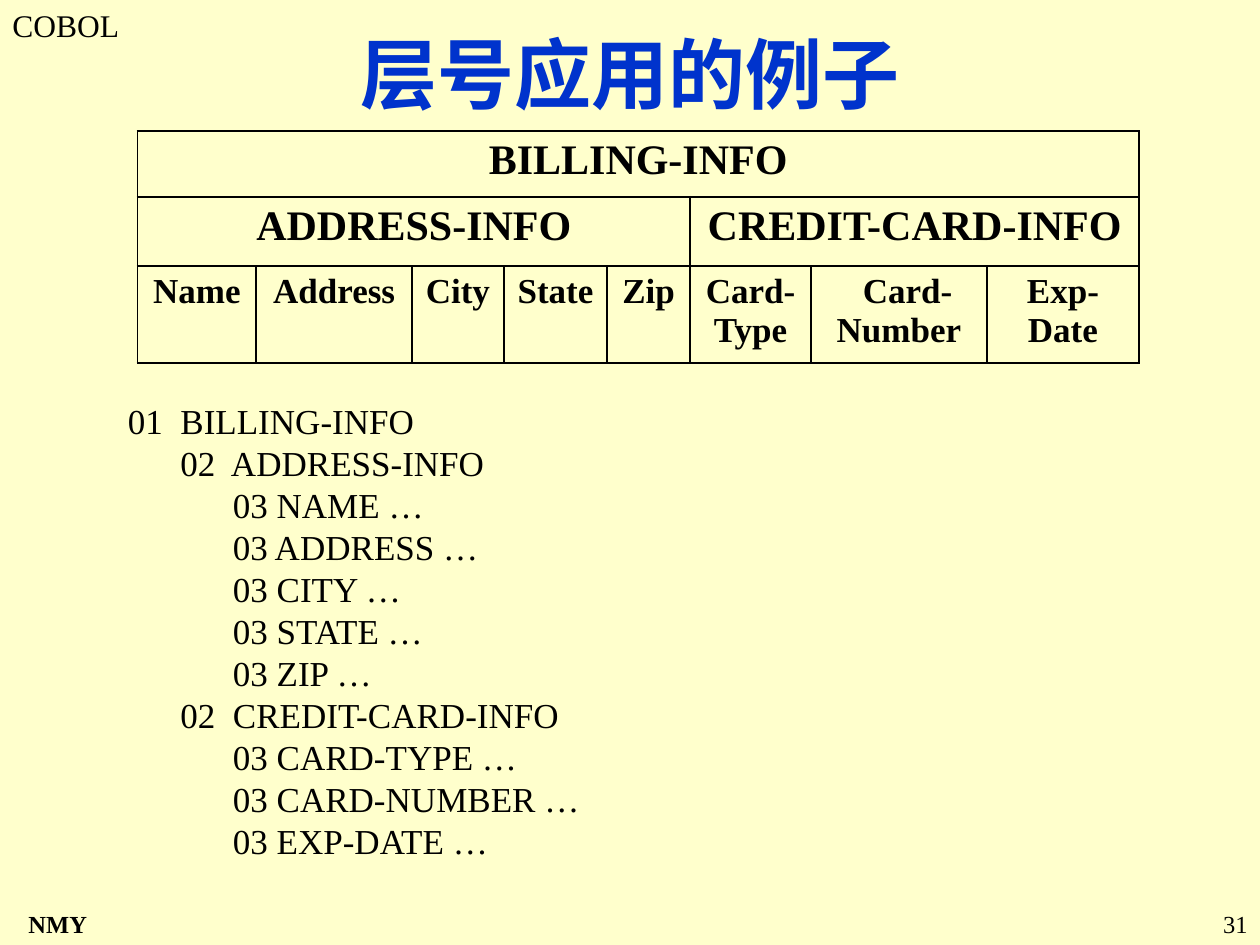
import pptx
import pptx.util
import pptx.dml.color
import pptx.enum.text
import pptx.oxml
import pptx.oxml.ns
from dataclasses import dataclass

Pt = pptx.util.Pt
ALIGN = pptx.enum.text.PP_ALIGN
ANCHOR = pptx.enum.text.MSO_ANCHOR


@dataclass(frozen=True)
class Theme:
    paper: str = "FFFFCC"
    ink: str = "000000"
    blue: str = "0033CC"
    font: str = "Times New Roman"
    title: float = 44
    group: float = 24
    body: float = 20
    course: float = 18
    footer: float = 14
    border: float = 1.08


theme = Theme()


def write(frame, text, size, align=ALIGN.LEFT, bold=False, color=theme.ink):
    frame.word_wrap = True
    frame.text = text
    for paragraph in frame.paragraphs:
        paragraph.alignment = align
        for run in paragraph.runs:
            run.font.name = theme.font
            run.font.size = Pt(size)
            run.font.bold = bold
            run.font.color.rgb = pptx.dml.color.RGBColor.from_string(color)


def add_borders(cell):
    properties = cell._tc.get_or_add_tcPr()
    for position, side in enumerate(("lnL", "lnR", "lnT", "lnB")):
        properties.insert(position, pptx.oxml.parse_xml(
            f'<a:{side} {pptx.oxml.ns.nsdecls("a")} w="{Pt(theme.border)}">'
            f'<a:solidFill><a:srgbClr val="{theme.ink}"/></a:solidFill></a:{side}>'))


deck = pptx.Presentation()
deck.slide_width, deck.slide_height = Pt(720), Pt(540)
slide = deck.slides.add_slide(deck.slide_layouts[6])
slide.background.fill.solid()
slide.background.fill.fore_color.rgb = pptx.dml.color.RGBColor.from_string(theme.paper)

# Course name and title
course = slide.shapes.add_textbox(Pt(0), Pt(0), Pt(84), Pt(29))
write(course.text_frame, "COBOL", theme.course)

title = slide.shapes.add_textbox(Pt(54), Pt(13), Pt(612), Pt(57))
title.text_frame.vertical_anchor = ANCHOR.MIDDLE
write(title.text_frame, "层号应用的例子", theme.title, ALIGN.CENTER, True, theme.blue)

# Record layout: level 01, level 02 groups, level 03 fields
widths = [68, 89, 52.5, 59, 47.5, 69, 100.5, 87]
heights = [37.5, 39.5, 55.5]
groups = [(0, 0, 7, "BILLING-INFO"), (1, 0, 4, "ADDRESS-INFO"), (1, 5, 7, "CREDIT-CARD-INFO")]
fields = ["Name", "Address", "City", "State", "Zip",
          "Card-\nType", "Card-\nNumber", "Exp-\nDate"]

record = slide.shapes.add_table(len(heights), len(widths), Pt(78.5), Pt(75),
                                Pt(sum(widths)), Pt(sum(heights))).table
record.first_row = record.horz_banding = False
for column, width in zip(record.columns, widths):
    column.width = Pt(width)
for row, height in zip(record.rows, heights):
    row.height = Pt(height)
for cell in record.iter_cells():
    cell.fill.background()
    add_borders(cell)

for row, first, last, name in groups:
    group = record.cell(row, first)
    group.merge(record.cell(row, last))
    write(group.text_frame, name, theme.group, ALIGN.CENTER, True)
for column, name in enumerate(fields):
    write(record.cell(2, column).text_frame, name, theme.body, ALIGN.CENTER, True)

# The first line of Card-Number sits slightly right of centre
card_line = record.cell(2, 6).text_frame.paragraphs[0]
card_line._p.get_or_add_pPr().set("marL", str(Pt(10)))

# The same record as COBOL code
code = """01  BILLING-INFO
      02  ADDRESS-INFO
            03 NAME …
            03 ADDRESS …
            03 CITY …
            03 STATE …
            03 ZIP …
      02  CREDIT-CARD-INFO
            03 CARD-TYPE …
            03 CARD-NUMBER …
            03 EXP-DATE …"""
listing = slide.shapes.add_textbox(Pt(66), Pt(224.5), Pt(345), Pt(271.5))
write(listing.text_frame, code, theme.body)

# Footer
author = slide.shapes.add_textbox(Pt(0), Pt(516), Pt(66), Pt(24))
write(author.text_frame, "NMY", theme.footer, ALIGN.CENTER, True)
page = slide.shapes.add_textbox(Pt(672), Pt(516), Pt(48), Pt(24))
write(page.text_frame, "31", theme.footer, ALIGN.RIGHT)

deck.save("out.pptx")
